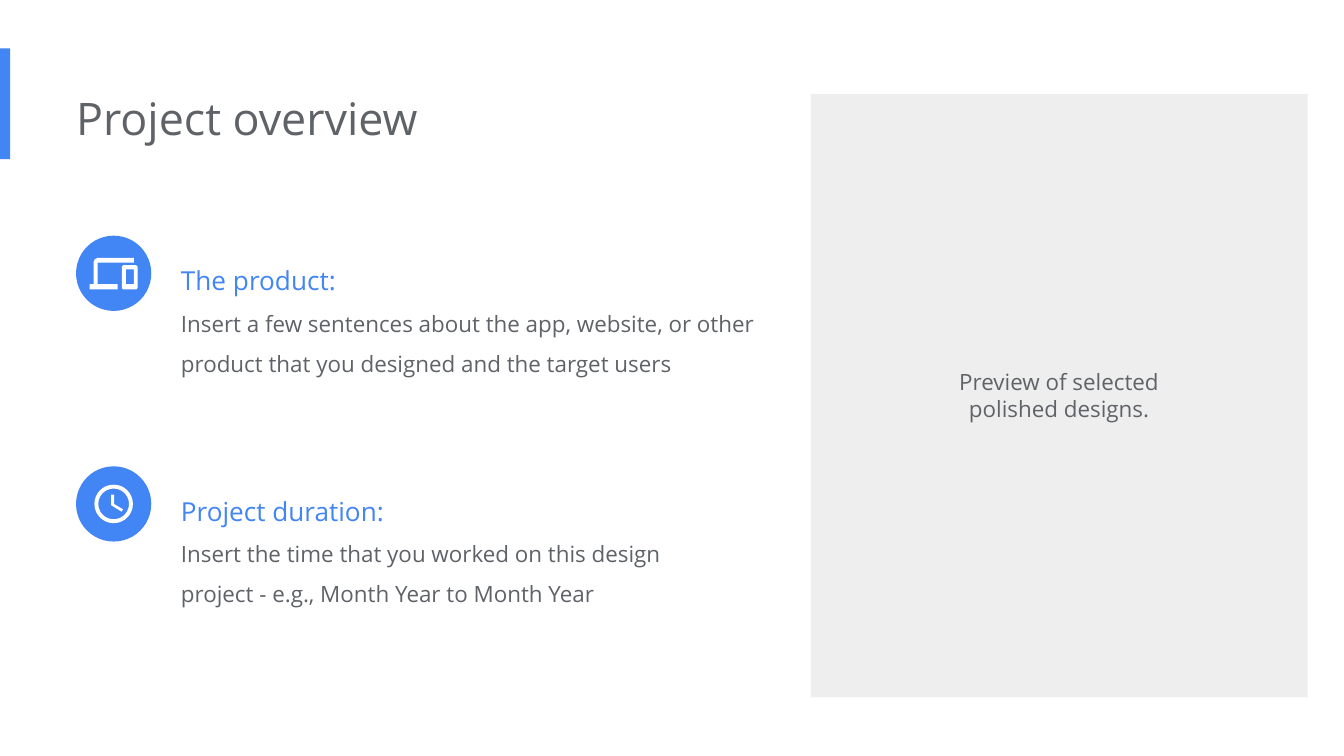
from dataclasses import dataclass
from math import cos, pi, sin

from lxml.etree import SubElement
from pptx import Presentation
from pptx.dml.color import RGBColor as Color
from pptx.enum.shapes import MSO_SHAPE as Shape
from pptx.enum.text import MSO_ANCHOR as Anchor, MSO_AUTO_SIZE as AutoSize, PP_ALIGN as Align
from pptx.oxml.ns import qn
from pptx.util import Inches, Pt


@dataclass(frozen=True)
class Theme:
    font: str = "Open Sans"
    accent: str = "4285F4"
    text: str = "5F6368"
    panel: str = "EEEEEE"
    icon: str = "FFFFFF"
    title_size: int = 24
    heading_size: int = 14
    body_size: int = 12


CELL = 0.1  # one grid cell in inches; the slide is 100 columns wide
STEPS = 1000  # freeform units per inch


class SlideBuilder:
    def __init__(self, slide, theme):
        self.slide = slide
        self.theme = theme

    def paint(self, shape, color):
        shape.shadow.inherit = False
        shape.fill.solid()
        shape.fill.fore_color.rgb = Color.from_string(color)
        shape.line.fill.background()

    def block(self, kind, box, color):
        shape = self.slide.shapes.add_shape(kind, *(Inches(cells * CELL) for cells in box))
        self.paint(shape, color)

    def icon(self, left, top, outlines):
        """Draw closed outlines, given in cells from the corner of the badge."""
        contours = [[(round((left + x) * CELL * STEPS), round((top + y) * CELL * STEPS))
                     for x, y in outline] for outline in outlines]
        builder = self.slide.shapes.build_freeform(*contours[0][0], scale=Inches(1) / STEPS)
        for number, contour in enumerate(contours):
            if number:
                builder.move_to(*contour[0])
            builder.add_line_segments(contour[1:], close=True)
        self.paint(builder.convert_to_shape(), self.theme.icon)

    def text(self, box, lines, shape=None, align=Align.LEFT, spacing=1.0, inset=0):
        """Fill a placeholder, or a new text box, with (text, size, color) lines."""
        place = [Inches(cells * CELL) for cells in box]
        shape = shape or self.slide.shapes.add_textbox(*place)
        shape.left, shape.top, shape.width, shape.height = place
        frame = shape.text_frame
        frame.word_wrap = True
        frame.auto_size = AutoSize.NONE
        frame.vertical_anchor = Anchor.TOP
        frame.margin_left = Inches(inset)
        frame.margin_right = frame.margin_top = frame.margin_bottom = Inches(0.1)
        frame.text = "\n".join(line[0] for line in lines)
        for paragraph, (_, size, color) in zip(frame.paragraphs, lines):
            paragraph.alignment = align
            paragraph.line_spacing = spacing
            paragraph.space_before = Pt(0)
            paragraph.font.name = self.theme.font
            paragraph.font.size = Pt(size)
            paragraph.font.color.rgb = Color.from_string(color)
            # No bullet and no hanging indent
            properties = paragraph._p.get_or_add_pPr()
            properties.set("marL", "0")
            properties.set("indent", "0")
            bullet = SubElement(properties, qn("a:buNone"))
            properties.find(qn("a:defRPr")).addprevious(bullet)


def rectangle(left, top, right, bottom, cut=0):
    """Outline of a rectangle whose corners are cut off."""
    return [(left + cut, top), (right - cut, top), (right, top + cut), (right, bottom - cut),
            (right - cut, bottom), (left + cut, bottom), (left, bottom - cut), (left, top + cut)]


def circle(center, radius, sides=60):
    return [(center + radius * cos(2 * pi * step / sides),
             center + radius * sin(2 * pi * step / sides)) for step in range(sides)]


LAPTOP = [(1.6, 2), (4.3, 2), (4.3, 1.65), (1.6, 1.65), (1.4, 1.75), (1.3, 1.95), (1.3, 3.6),
          (1, 3.6), (1, 4), (3.1, 4), (3.1, 3.6), (1.6, 3.6)]
DEVICES = [LAPTOP, rectangle(3.4, 2.2, 4.57, 4, 0.1), rectangle(3.7, 2.5, 4.3, 3.6)]
HANDS = [(2.62, 2.1), (2.62, 2.9), (3.4, 3.38), (3.5, 3.2), (2.83, 2.8), (2.83, 2.1)]
CLOCK = [circle(2.8, 1.43), circle(2.8, 1.14), HANDS]

# Each section: top row, text width, icon, heading, description
SECTIONS = [
    (17.54, 44.7, DEVICES, "The product: ",
     "Insert a few sentences about the app, website, or other product that you designed "
     "and the target users"),
    (34.7, 37.7, CLOCK, "Project duration:",
     "Insert the time that you worked on this design project - e.g., Month Year to Month Year"),
]
MARGIN, TEXT_LEFT, BADGE = 5.66, 13.46, 5.6

presentation = Presentation()
presentation.slide_width = Inches(10)
presentation.slide_height = presentation.slide_width * 9 // 16
slide = presentation.slides.add_slide(presentation.slide_layouts.get_by_name("Two Content"))
theme = Theme()
builder = SlideBuilder(slide, theme)
title, *bodies = [shape for shape in slide.placeholders]

# Accent bar and preview panel
builder.block(Shape.RECTANGLE, (0, 3.6, 0.76, 8.24), theme.accent)
builder.block(Shape.RECTANGLE, (60.34, 7, 36.96, 44.9), theme.panel)
builder.text((68.9, 26.4, 19.8, 6),
             [("Preview of selected polished designs.", theme.body_size, theme.text)],
             align=Align.CENTER, inset=0.1)

# Title
builder.text((MARGIN, 5.74, 67.3, 6), [("Project overview", theme.title_size, theme.text)], title)

# Sections with a badge each
for body, (top, width, outlines, heading, description) in zip(bodies, SECTIONS):
    builder.block(Shape.OVAL, (MARGIN, top, BADGE, BADGE), theme.accent)
    builder.icon(MARGIN, top, outlines)
    builder.text((TEXT_LEFT, top, width, 11.5),
                 [(heading, theme.heading_size, theme.accent),
                  (description, theme.body_size, theme.text)], body, spacing=1.5)

presentation.save("out.pptx")
